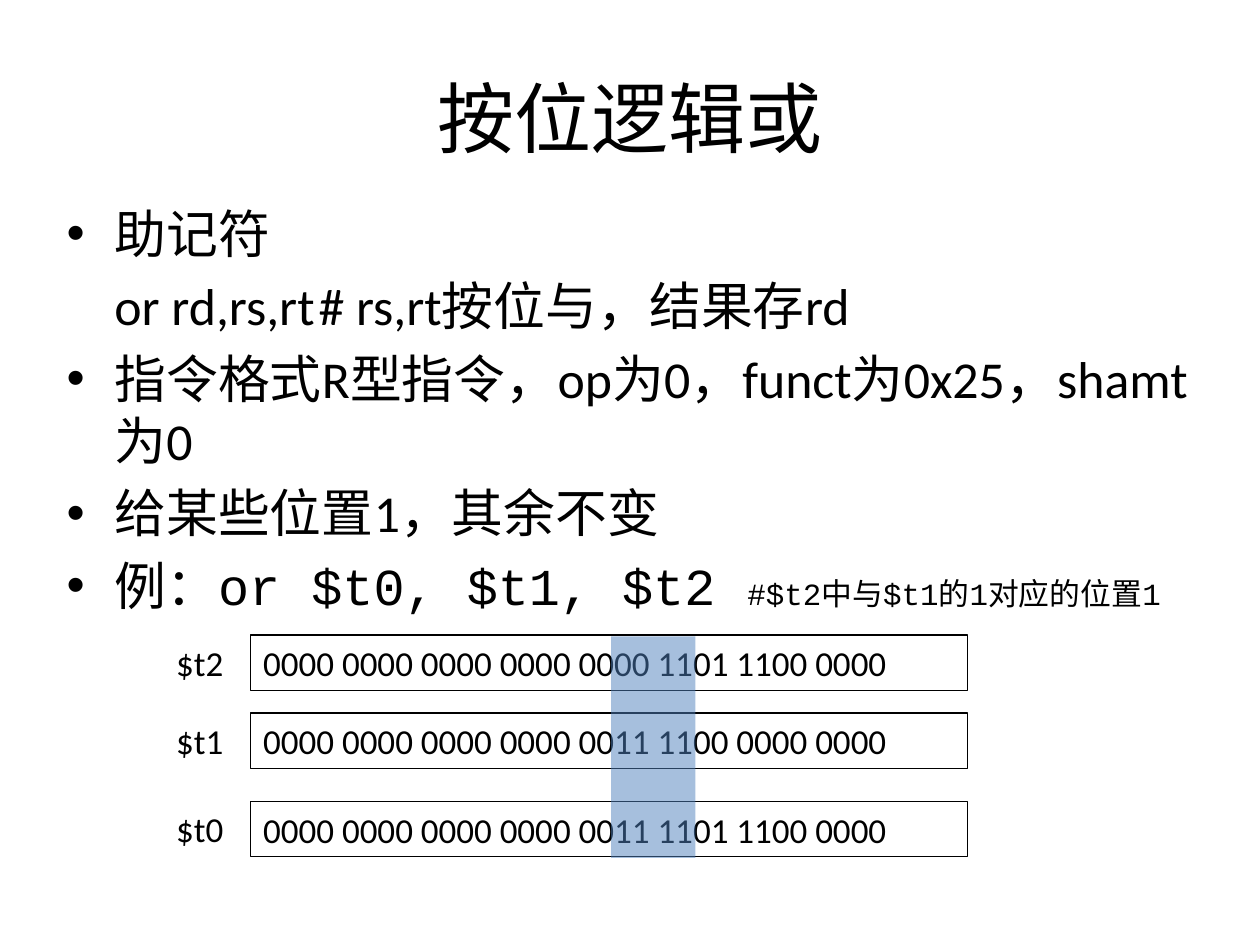
from lxml import etree
from pptx import Presentation
from pptx.dml.color import RGBColor
from pptx.enum.shapes import MSO_SHAPE
from pptx.enum.text import MSO_ANCHOR, PP_ALIGN
from pptx.oxml.ns import qn
from pptx.util import Inches, Pt

RECTANGLE = MSO_SHAPE.RECTANGLE
MIDDLE = MSO_ANCHOR.MIDDLE
CENTER, LEFT = PP_ALIGN.CENTER, PP_ALIGN.LEFT
BLACK = RGBColor(0x00, 0x00, 0x00)
BLUE = RGBColor(0x4F, 0x81, 0xBD)
BODY_SIZE = 29.6
HANGING = Inches(0.38)


def write(para, text, size=20, font="Calibri", align=LEFT):
    para.alignment = align
    span = para.add_run()
    span.text = text
    span.font.size = Pt(size)
    span.font.name = font
    span.font.color.rgb = BLACK


deck = Presentation()
deck.slide_width, deck.slide_height = Inches(10), Inches(7.5)
page = deck.slides.add_slide(deck.slide_layouts[5])
shapes = page.shapes

# Title
title = shapes.title
title.left, title.top = Inches(0.5), Inches(0.3)
title.width, title.height = Inches(9), Inches(1.25)
title.text_frame.vertical_anchor = MIDDLE
write(title.text_frame.paragraphs[0], "按位逻辑或", size=44, align=CENTER)

# Body: each paragraph is (bulleted, [(text, size, font), ...])
body_paragraphs = [
    (True, [("助记符", BODY_SIZE, "Calibri")]),
    (False, [("or rd,rs,rt\t# rs,rt按位与，结果存rd", BODY_SIZE, "Calibri")]),
    (True, [("指令格式R型指令，op为0，funct为0x25，shamt为0", BODY_SIZE, "Calibri")]),
    (True, [("给某些位置1，其余不变", BODY_SIZE, "Calibri")]),
    (True, [("例：", BODY_SIZE, "Calibri"),
            ("or $t0, $t1, $t2 ", BODY_SIZE, "Courier New"),
            ("#$t2中与$t1的1对应的位置1", 17.6, "Courier New")]),
]
body = shapes.add_textbox(Inches(0.43), Inches(1.55), Inches(9.22), Inches(3.34))
frame = body.text_frame
frame.word_wrap = True
for index, (bulleted, spans) in enumerate(body_paragraphs):
    para = frame.add_paragraph() if index else frame.paragraphs[0]
    properties = para._p.get_or_add_pPr()
    if bulleted:
        properties.set("marL", str(HANGING))
        properties.set("indent", str(-HANGING))
        etree.SubElement(properties, qn("a:buFont"), typeface="Arial")
        etree.SubElement(properties, qn("a:buChar"), char="•")
    else:
        properties.set("marL", "0")
        properties.set("indent", str(HANGING))
        etree.SubElement(properties, qn("a:buNone"))
        tabs = etree.SubElement(properties, qn("a:tabLst"))
        etree.SubElement(tabs, qn("a:tab"), pos=str(Inches(2.53)), algn="l")
    if index:
        para.space_before = Pt(5.9)
    for text, size, font in spans:
        write(para, text, size=size, font=font)

# Registers: name beside a box with its bits
registers = [
    ("$t2", 5.04, "0000 0000 0000 0000 0000 1101 1100 0000"),
    ("$t1", 5.66, "0000 0000 0000 0000 0011 1100 0000 0000"),
    ("$t0", 6.36, "0000 0000 0000 0000 0011 1101 1100 0000"),
]
for name, top, bits in registers:
    label = shapes.add_textbox(Inches(1.3), Inches(top), Inches(0.59), Inches(0.43))
    label.text_frame.word_wrap = False
    write(label.text_frame.paragraphs[0], name)

    box = shapes.add_shape(RECTANGLE, Inches(1.99), Inches(top), Inches(5.69), Inches(0.44))
    box.shadow.inherit = False
    box.fill.background()
    box.line.color.rgb = BLACK
    box.line.width = Pt(0.75)
    box.text_frame.word_wrap = True
    box.text_frame.vertical_anchor = MIDDLE
    write(box.text_frame.paragraphs[0], bits)

# Translucent band over the bits that are set
band = shapes.add_shape(RECTANGLE, Inches(4.85), Inches(5.05), Inches(0.67), Inches(1.76))
band.shadow.inherit = False
band.line.fill.background()
band.fill.solid()
band.fill.fore_color.rgb = BLUE
color = band._element.spPr.find(qn("a:solidFill")).find(qn("a:srgbClr"))
etree.SubElement(color, qn("a:alpha"), val="50000")

deck.save("out.pptx")
